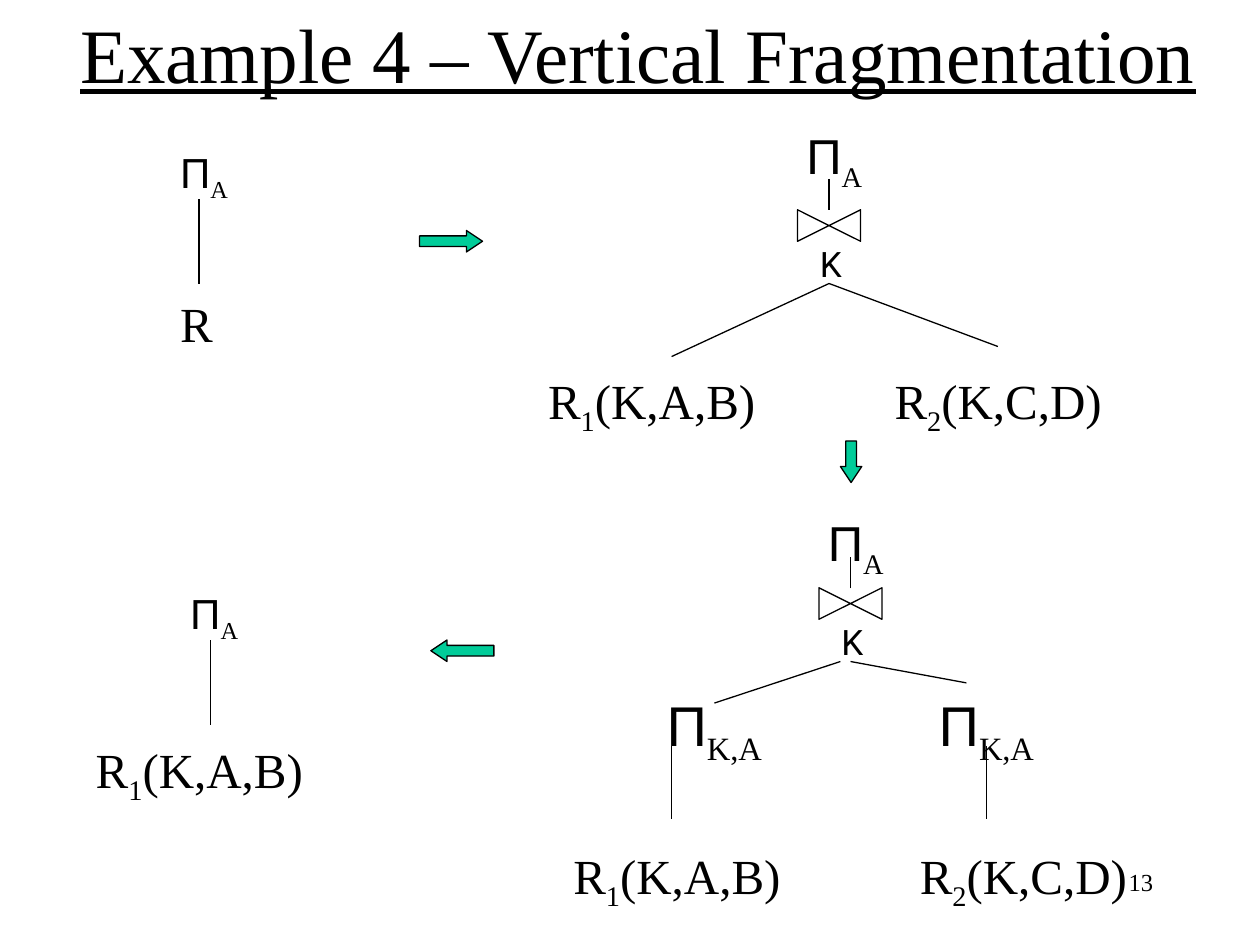
from lxml import etree
from pptx import Presentation
from pptx.dml.color import RGBColor
from pptx.enum import shapes, text
from pptx.oxml.ns import qn
from pptx.util import Inches, Pt

COLORS = {"ink": "000000", "arrow": "00CC99", "paper": "FFFFFF"}
SERIF, SANS, KEY_FONT = "Times New Roman", "Arial", "Roboto"
ASCENT = 0.9


def format_run(run, size, font):
    run.font.size = Pt(size)
    run.font.name = font
    run.font.color.rgb = RGBColor.from_string(COLORS["ink"])


def add_symbol(kind, box, fill):
    symbol = slide.shapes.add_shape(kind, *map(Inches, box))
    symbol.shadow.inherit = False
    symbol.fill.solid()
    symbol.fill.fore_color.rgb = RGBColor.from_string(COLORS[fill])
    symbol.line.color.rgb = RGBColor.from_string(COLORS["ink"])
    symbol.line.width = Pt(0.75)
    return symbol


prs = Presentation()
prs.slide_width, prs.slide_height = Inches(10), Inches(7.5)
slide = prs.slides.add_slide(prs.slide_layouts[5])

title = slide.shapes.title
title.left, title.top = Inches(0.42), Inches(0.08)
title.width, title.height = Inches(9.29), Inches(0.67)
title.text_frame.text = "Example 4 – Vertical Fragmentation"
title.text_frame.vertical_anchor = text.MSO_ANCHOR.MIDDLE
heading = title.text_frame.paragraphs[0]
heading.alignment = text.PP_ALIGN.CENTER
format_run(heading.runs[0], 44, SERIF)
heading.runs[0].font.underline = True

project_a = (("Π", SANS, False), ("A", SERIF, True))
project_ka = (("Π", SANS, False), ("K,A", SERIF, True))
relation = (("R", SERIF, False),)
fragment_1 = relation + (("1", SERIF, True), ("(K,A,B)", SERIF, False))
fragment_2 = relation + (("2", SERIF, True), ("(K,C,D)", SERIF, False))

terms = [
    (project_a, 1.43, 1.46, 24),
    (relation, 1.43, 2.68, 28),
    (project_a, 6.4, 1.35, 28),
    (fragment_1, 4.35, 3.29, 28),
    (fragment_2, 7.1, 3.29, 28),
    (project_a, 6.57, 4.42, 28),
    (project_ka, 5.29, 5.88, 32),
    (project_ka, 7.45, 5.88, 32),
    (fragment_1, 4.55, 7.06, 28),
    (fragment_2, 7.3, 7.06, 28),
    (project_a, 1.51, 4.96, 24),
    (fragment_1, 0.76, 6.22, 28),
]
for parts, left, baseline, size in terms:
    em = size / 72
    width = em * (1 + 0.6 * sum(len(part[0]) for part in parts))
    term = slide.shapes.add_textbox(
        Inches(left), Inches(baseline - ASCENT * em), Inches(width), Inches(1.3 * em))
    frame = term.text_frame
    frame.word_wrap = True
    frame.margin_left = frame.margin_right = frame.margin_top = frame.margin_bottom = 0
    for wording, font, subscript in parts:
        run = frame.paragraphs[0].add_run()
        run.text = wording
        format_run(run, size, font)
        if subscript:
            run.font._element.set("baseline", "-25000")

for center, top in ((6.58, 1.54), (6.75, 4.54)):
    join = add_symbol(shapes.MSO_SHAPE.FLOWCHART_COLLATE, (center - 0.125, top, 0.25, 0.5), "paper")
    join.rotation = 270
    key = slide.shapes.add_textbox(
        Inches(center - 0.17), Inches(top + 0.33), Inches(0.37), Inches(0.44))
    key.text_frame.text = "K"
    key.text_frame.word_wrap = False
    key.text_frame.vertical_anchor = text.MSO_ANCHOR.MIDDLE
    key_line = key.text_frame.paragraphs[0]
    key_line.alignment = text.PP_ALIGN.CENTER
    key_line.space_before = Pt(12.5)
    format_run(key_line.runs[0], 20, KEY_FONT)

branches = [
    (1.58, 1.58, 1.58, 2.25),
    (6.58, 1.42, 6.58, 1.67),
    (6.58, 2.25, 5.33, 2.83),
    (6.58, 2.25, 7.92, 2.75),
    (6.75, 4.67, 6.75, 4.42),
    (5.67, 5.58, 6.67, 5.25),
    (6.75, 5.25, 7.67, 5.42),
    (5.33, 5.92, 5.33, 6.5),
    (7.83, 5.92, 7.83, 6.5),
    (1.67, 5.08, 1.67, 5.75),
]
for ends in branches:
    branch = slide.shapes.add_connector(shapes.MSO_CONNECTOR.STRAIGHT, *map(Inches, ends))
    branch.line.color.rgb = RGBColor.from_string(COLORS["ink"])
    branch.line.width = Pt(0.75)
    etree.SubElement(branch._element.spPr, qn("a:effectLst"))

steps = [
    (shapes.MSO_SHAPE.RIGHT_ARROW, (3.33, 1.83, 0.5, 0.17)),
    (shapes.MSO_SHAPE.DOWN_ARROW, (6.67, 3.5, 0.17, 0.33)),
    (shapes.MSO_SHAPE.LEFT_ARROW, (3.42, 5.08, 0.5, 0.17)),
]
for kind, box in steps:
    step = add_symbol(kind, box, "arrow")
    step.adjustments[0] = 0.5
    step.adjustments[1] = 0.75

page = slide.shapes.add_textbox(Inches(7.17), Inches(6.83), Inches(2.08), Inches(0.5))
page.text_frame.text = "13"
page.text_frame.word_wrap = True
page.text_frame.paragraphs[0].alignment = text.PP_ALIGN.RIGHT
format_run(page.text_frame.paragraphs[0].runs[0], 14, SERIF)

prs.save("out.pptx")
